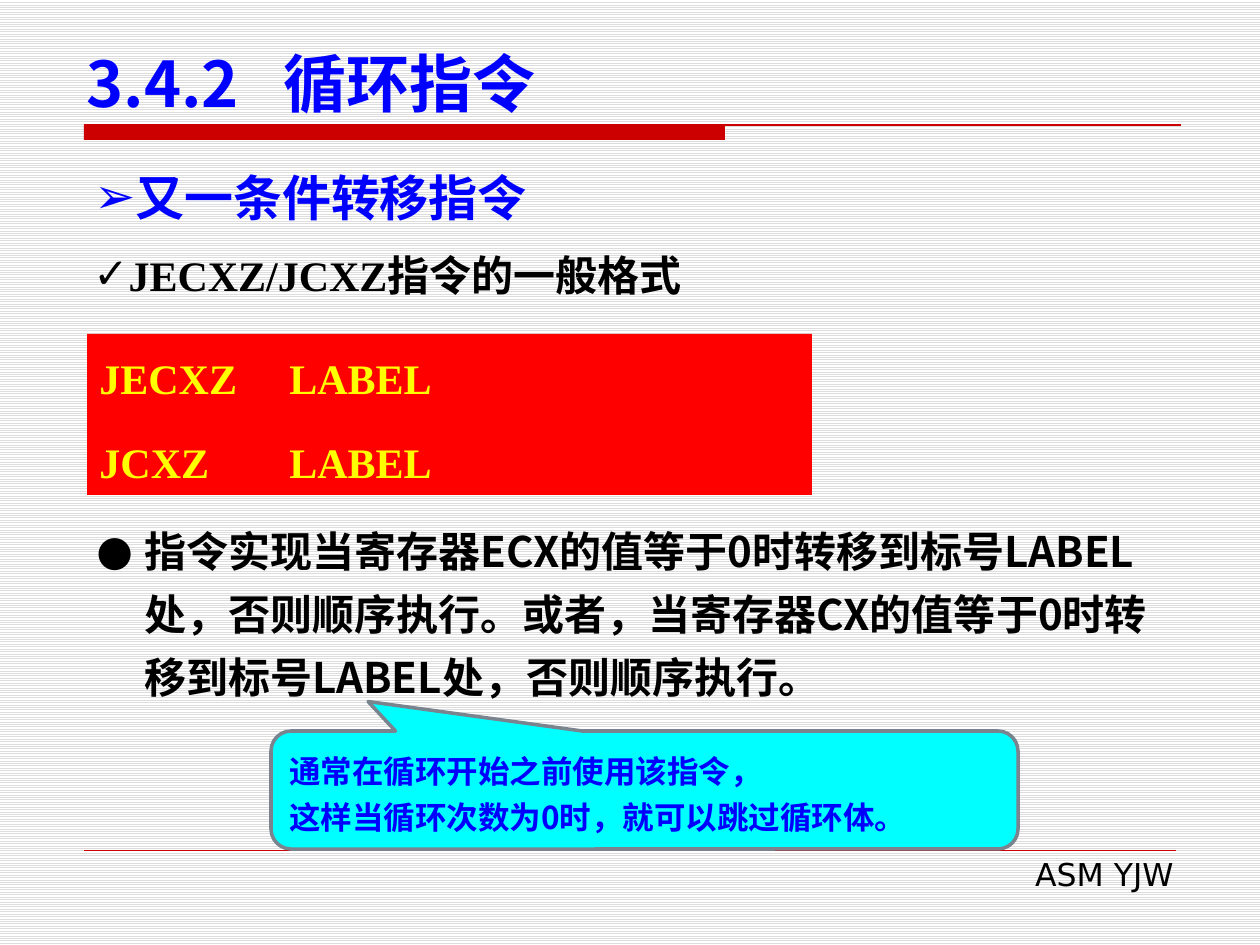
import pptx
import pptx.util
import pptx.dml.color
import pptx.enum.dml
import pptx.enum.shapes
import pptx.enum.text
import pptx.oxml
import pptx.oxml.ns
from dataclasses import dataclass

SHAPES = pptx.enum.shapes.MSO_SHAPE
ANCHOR = pptx.enum.text.MSO_ANCHOR
ALIGN = pptx.enum.text.PP_ALIGN
GROW = pptx.enum.text.MSO_AUTO_SIZE.SHAPE_TO_FIT_TEXT


@dataclass(frozen=True)
class Theme:
    sans: str = "Noto Sans CJK SC"
    serif: str = "Times New Roman"
    plain: str = "DejaVu Sans"
    white: str = "FFFFFF"
    stripe: str = "DDDDDD"
    rule: str = "CC0000"
    ink: str = "000000"
    blue: str = "0000FF"
    red: str = "FF0000"
    yellow: str = "FFFF00"
    cyan: str = "00FFFF"
    gray: str = "79848F"
    title: int = 36
    heading: int = 28
    body: int = 24
    small: int = 18


THEME = Theme()


def px(length):
    """Turn px (126 to the inch) into EMU."""
    return pptx.util.Emu(round(length * 914400 / 126))


def color(value):
    return pptx.dml.color.RGBColor.from_string(value)


def add_xml(parent, tag, **attributes):
    element = pptx.oxml.ns.qn(tag)
    child = parent.makeelement(element, attributes)
    parent.append(child)
    return child


# Text
def write(para, text, size, font, fill, bold=True, bullet=None, indent=0,
          tab=None, align=ALIGN.LEFT, leading=None, before=None):
    para.alignment = align
    if leading:
        para.line_spacing = pptx.util.Pt(leading)
    if before:
        para.space_before = pptx.util.Pt(before)
    props = para._p.get_or_add_pPr()
    if indent:
        props.set("marL", str(px(indent)))
        props.set("indent", str(-px(indent)))
    if bullet:
        add_xml(props, "a:buFont", typeface=THEME.plain)
        add_xml(props, "a:buChar", char=bullet)
    if tab:
        stops = add_xml(props, "a:tabLst")
        add_xml(stops, "a:tab", pos=str(px(tab)), algn="l")
    span = para.add_run()
    span.text = text
    span.font.size = pptx.util.Pt(size)
    span.font.bold = bold
    span.font.name = font
    span.font.color.rgb = color(fill)
    add_xml(span._r.get_or_add_rPr(), "a:ea", typeface=THEME.sans)


def write_lines(frame, lines, before=None, **style):
    for index, text in enumerate(lines):
        para = frame.add_paragraph() if index else frame.paragraphs[0]
        write(para, text, before=before if index else None, **style)


def add_text(page, bounds, text, **style):
    box = page.shapes.add_textbox(*map(px, bounds))
    box.text_frame.word_wrap = True
    box.text_frame.auto_size = GROW
    write(box.text_frame.paragraphs[0], text, **style)


def set_title(page, bounds, text, **style):
    title = page.shapes.title
    title.left, title.top, title.width, title.height = map(px, bounds)
    title.text_frame.vertical_anchor = ANCHOR.BOTTOM
    write(title.text_frame.paragraphs[0], text, **style)


# Shapes
def add_block(page, kind, bounds, fill, line=None, anchor=ANCHOR.TOP):
    block = page.shapes.add_shape(kind, *map(px, bounds))
    block.shadow.inherit = False
    block.fill.solid()
    block.fill.fore_color.rgb = color(fill)
    if line:
        block.line.color.rgb = color(line)
        block.line.width = pptx.util.Pt(2)
    else:
        block.line.fill.background()
    block.text_frame.word_wrap = True
    block.text_frame.vertical_anchor = anchor
    return block


def add_rule(page, left, right, y, width):
    rule = page.shapes.add_connector(
        pptx.enum.shapes.MSO_CONNECTOR.STRAIGHT, px(left), px(y), px(right), px(y))
    rule.line.color.rgb = color(THEME.rule)
    rule.line.width = pptx.util.Pt(width)
    add_xml(rule._element.spPr, "a:effectLst")


def set_background(page):
    fill = page.background.fill
    fill.patterned()
    fill.pattern = pptx.enum.dml.MSO_PATTERN.LIGHT_HORIZONTAL
    fill.fore_color.rgb = color(THEME.stripe)
    fill.back_color.rgb = color(THEME.white)


def main():
    deck = pptx.Presentation()
    deck.slide_width, deck.slide_height = px(1260), px(945)
    page = deck.slides.add_slide(deck.slide_layouts[5])
    set_background(page)

    # Title band and footer
    add_block(page, SHAPES.RECTANGLE, (84, 125, 641, 15), THEME.rule)
    add_rule(page, 84, 1181, 125, 0.75)
    add_rule(page, 84, 1176, 850, 0.25)
    add_text(page, (481, 849, 705, 50), "ASM YJW", size=THEME.small,
             font=THEME.plain, fill=THEME.ink, bold=False, align=ALIGN.RIGHT)
    set_title(page, (74, 37, 1142, 89), "3.4.2\t循环指令", size=THEME.title,
              font=THEME.sans, fill=THEME.blue, tab=197)

    # Headings
    add_text(page, (82, 161, 1091, 72), "又一条件转移指令", size=THEME.heading,
             font=THEME.plain, fill=THEME.blue, bullet="➢", align=ALIGN.JUSTIFY)
    add_text(page, (81, 243, 924, 63), "JECXZ/JCXZ指令的一般格式",
             size=THEME.body, font=THEME.serif, fill=THEME.ink, bullet="✓")

    # Instruction format
    syntax = add_block(page, SHAPES.RECTANGLE, (87, 334, 725, 161), THEME.red)
    write_lines(syntax.text_frame, ["JECXZ\tLABEL", "JCXZ\tLABEL"],
                size=THEME.body, font=THEME.serif, fill=THEME.yellow,
                leading=36, before=12, tab=190)

    # Explanation
    add_text(page, (84, 507, 1092, 204),
             "指令实现当寄存器ECX的值等于0时转移到标号LABEL处，否则顺序执行。"
             "或者，当寄存器CX的值等于0时转移到标号LABEL处，否则顺序执行。",
             size=THEME.body, font=THEME.sans, fill=THEME.ink,
             bullet="●", indent=48, leading=36)

    # Usage note
    note = add_block(page, SHAPES.ROUNDED_RECTANGULAR_CALLOUT,
                     (271, 731, 747, 118), THEME.cyan, THEME.gray, ANCHOR.MIDDLE)
    for index, value in enumerate((-0.37, -0.75, 0.17)):
        note.adjustments[index] = value
    write_lines(note.text_frame,
                ["通常在循环开始之前使用该指令，", "这样当循环次数为0时，就可以跳过循环体。"],
                size=THEME.small, font=THEME.sans, fill=THEME.blue, leading=26)

    deck.save("out.pptx")


if __name__ == "__main__":
    main()
